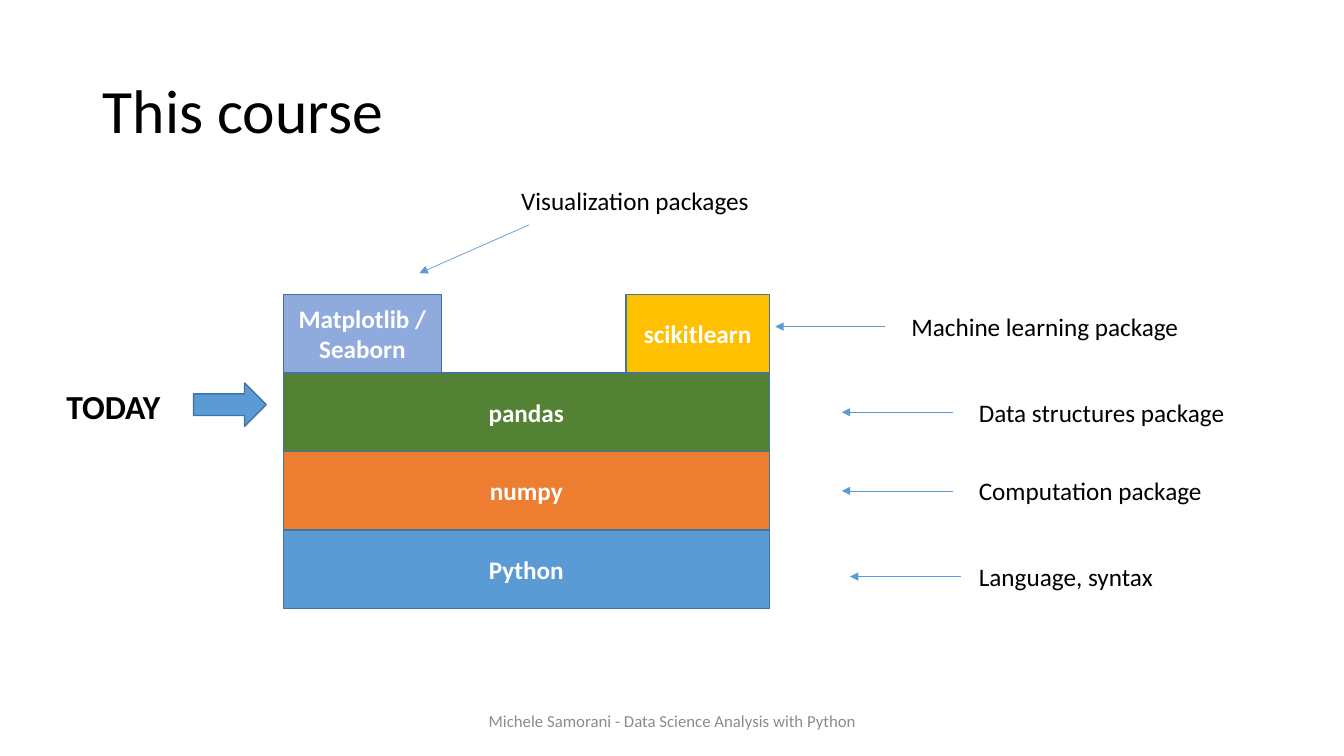
from lxml import etree
from pptx import Presentation
from pptx.dml.color import RGBColor
from pptx.enum.shapes import MSO_CONNECTOR, MSO_SHAPE
from pptx.enum.text import MSO_ANCHOR, MSO_AUTO_SIZE, PP_ALIGN
from pptx.oxml.ns import qn
from pptx.util import Inches, Pt

STRAIGHT = MSO_CONNECTOR.STRAIGHT
RECTANGLE, RIGHT_ARROW = MSO_SHAPE.RECTANGLE, MSO_SHAPE.RIGHT_ARROW
LEFT, CENTER = PP_ALIGN.LEFT, PP_ALIGN.CENTER
TOP, MIDDLE = MSO_ANCHOR.TOP, MSO_ANCHOR.MIDDLE
NO_FIT, GROW = MSO_AUTO_SIZE.NONE, MSO_AUTO_SIZE.SHAPE_TO_FIT_TEXT
BLUE, OUTLINE = "5B9BD5", "43739E"


def set_color(fmt, value):
    fmt.rgb = RGBColor.from_string(value)


def write(sp, text, size, color, align=LEFT, anchor=TOP, bold=False, wrap=True, fit=NO_FIT):
    tf = sp.text_frame
    tf.text = text
    tf.word_wrap = wrap
    tf.auto_size = fit
    tf.vertical_anchor = anchor
    for p in tf.paragraphs:
        p.alignment = align
        for r in p.runs:
            r.font.name = "Calibri"
            r.font.size = Pt(size)
            r.font.bold = bold
            set_color(r.font.color, color)


prs = Presentation()
prs.slide_width, prs.slide_height = Inches(13.33), Inches(7.5)
s = prs.slides.add_slide(prs.slide_layouts[5])

title = s.shapes.title
title.left, title.top = Inches(0.92), Inches(0.4)
title.width, title.height = Inches(11.5), Inches(1.45)
write(title, "This course", 44, "000000", anchor=MIDDLE)
title.text_frame.paragraphs[0].line_spacing = 0.9

stack_left, stack_width, stack_top, layer_height = 2.81, 4.82, 2.92, 0.78
stack_right = stack_left + stack_width
layers = [
    ("Python", 3, stack_left, stack_width, BLUE),
    ("numpy", 2, stack_left, stack_width, "ED7D31"),
    ("pandas", 1, stack_left, stack_width, "548235"),
    ("Matplotlib /\nSeaborn", 0, stack_left, 1.57, "8FAADC"),
    ("scikitlearn", 0, stack_right - 1.42, 1.42, "FFC000"),
]
blocks = [
    (RECTANGLE, text, x, stack_top + row * layer_height, w, layer_height, fill)
    for text, row, x, w, fill in layers
]
blocks.append((RIGHT_ARROW, "", 1.92, 3.8, 0.72, 0.43, BLUE))
for kind, text, x, y, w, h, fill in blocks:
    sp = s.shapes.add_shape(kind, Inches(x), Inches(y), Inches(w), Inches(h))
    sp.shadow.inherit = False
    sp.fill.solid()
    set_color(sp.fill.fore_color, fill)
    set_color(sp.line.color, OUTLINE)
    sp.line.width = Pt(1)
    if text:
        write(sp, text, 18, "FFFFFF", CENTER, MIDDLE, bold=True)

notes = [
    ("Language, syntax", 9.61, 5.52, 1.95, (9.53, 5.72), (8.43, 5.72)),
    ("Computation package", 9.61, 4.67, 2.5, (9.45, 4.87), (8.35, 4.87)),
    ("Data structures package", 9.61, 3.89, 2.66, (9.45, 4.09), (8.35, 4.09)),
    ("Machine learning package", 8.94, 3.04, 2.94, (8.78, 3.24), (7.69, 3.24)),
    ("Visualization packages", 5.07, 1.79, 2.49, (5.25, 2.23), (4.16, 2.71)),
]
for text, x, y, w, start, end in notes:
    arrow = s.shapes.add_connector(STRAIGHT, *map(Inches, start + end))
    set_color(arrow.line.color, BLUE)
    arrow.line.width = Pt(0.5)
    etree.SubElement(arrow.line._get_or_add_ln(), qn("a:tailEnd"), type="triangle")
    etree.SubElement(arrow._element.spPr, qn("a:effectLst"))
    label = s.shapes.add_textbox(Inches(x), Inches(y), Inches(w), Inches(0.4))
    write(label, text, 18, "000000", wrap=False, fit=GROW)

today = s.shapes.add_textbox(Inches(0.06), Inches(3.78), Inches(2.13), Inches(0.5))
write(today, "TODAY", 24, "000000", CENTER, bold=True, fit=GROW)

footer = s.shapes.add_textbox(Inches(4.42), Inches(6.95), Inches(4.5), Inches(0.4))
write(footer, "Michele Samorani - Data Science Analysis with Python", 12, "8C8C8C", CENTER, MIDDLE)

prs.save("out.pptx")
